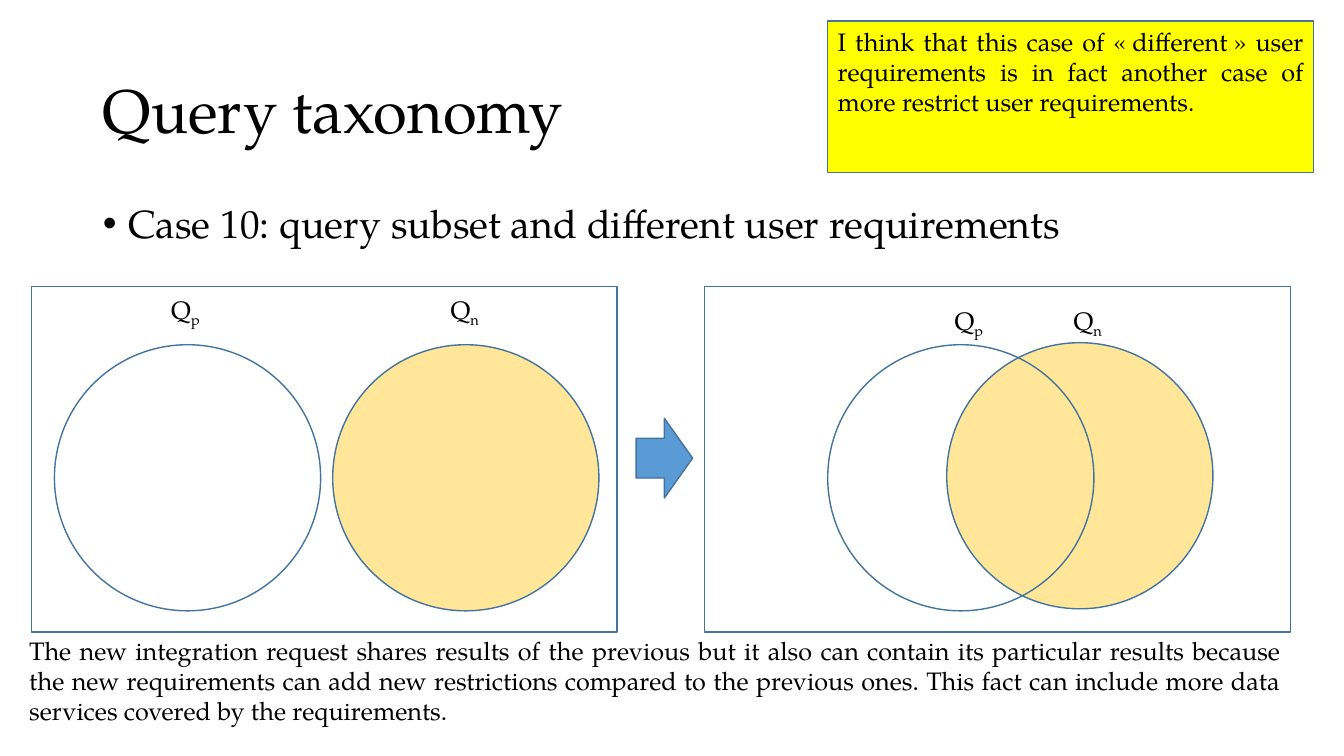
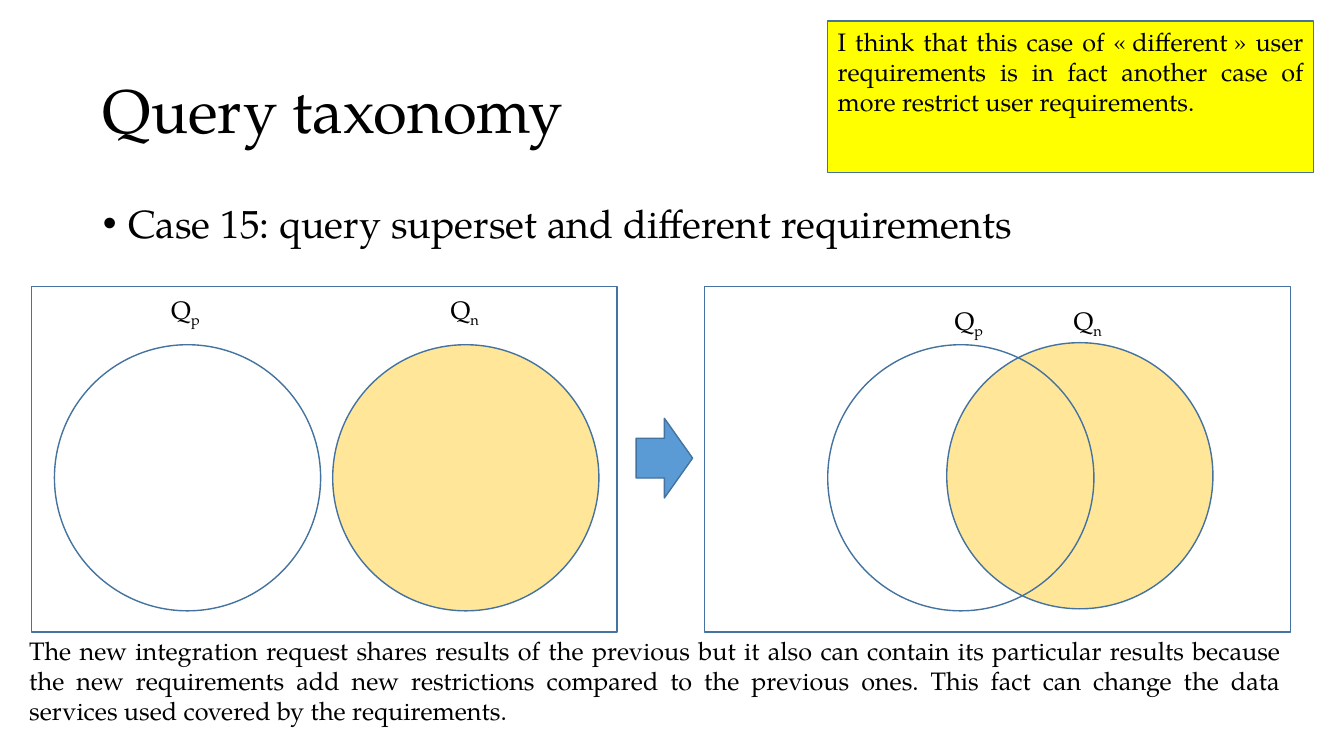
"""Build two query taxonomy slides that compare previous and new queries."""
import pptx
import pptx.dml.color
import pptx.enum.shapes
import pptx.enum.text
import pptx.util

TITLE = "Query taxonomy"
REMARK = ("I think that this case of «\u00a0different\u00a0» user requirements is in fact "
          "another case of more restrict user requirements.")
CASES = [
    ("Case 10: query subset and different user requirements",
     "The new integration request shares results of the previous but it also can contain its "
     "particular results because the new requirements can add new restrictions compared to the "
     "previous ones. This fact can include more data services covered by the requirements."),
    ("Case 15: query superset and different requirements",
     "The new integration request shares results of the previous but it also can contain its "
     "particular results because the new requirements add new restrictions compared to the "
     "previous ones. This fact can change the data services used covered by the requirements."),
]

FONT = "TeX Gyre Pagella"
BLACK, OUTLINE, ARROW, NEW_QUERY, NOTE = "000000", "43739E", "5B9BD5", "FFE699", "FFFF00"

SLIDE_W, SLIDE_H = 13.33, 7.5
MARGIN, CONTENT_W = 0.92, 11.5
PANEL_TOP, PANEL_W, PANEL_H = 2.84, 5.81, 3.43
CIRCLE = 2.64
LABEL_W, LABEL_H = 0.49, 0.4

# Each query: subscript, fill, circle offset and label offset inside its panel.
PANELS = [
    (0.31, [("n", NEW_QUERY, (2.99, 0.58), (4.06, 0.03)),
            ("p", None, (0.23, 0.58), (1.29, 0.03))]),
    (6.99, [("n", NEW_QUERY, (2.4, 0.56), (3.56, 0.14)),
            ("p", None, (1.22, 0.58), (2.38, 0.14))]),
]

ALIGN = pptx.enum.text.PP_ALIGN
ANCHOR = pptx.enum.text.MSO_ANCHOR
SHAPE = pptx.enum.shapes.MSO_SHAPE


def color(hex_string):
    return pptx.dml.color.RGBColor.from_string(hex_string)


def inches(*lengths):
    return [pptx.util.Inches(length) for length in lengths]


def write(holder, text, subscript="", size=18, align=ALIGN.LEFT, anchor=ANCHOR.TOP,
          wrap=True, spacing=None, before=0, indent=None):
    frame = holder.text_frame
    frame.auto_size = pptx.enum.text.MSO_AUTO_SIZE.NONE
    frame.word_wrap = wrap
    frame.vertical_anchor = anchor
    paragraph = frame.paragraphs[0]
    paragraph.alignment = align
    paragraph.space_before = pptx.util.Pt(before)
    if spacing:
        paragraph.line_spacing = spacing
    if indent:
        properties = paragraph._p.get_or_add_pPr()
        properties.set("marL", str(pptx.util.Inches(indent)))
        properties.set("indent", str(-pptx.util.Inches(indent)))
    for part, baseline in ((text, None), (subscript, "-25000")):
        if part:
            run = paragraph.add_run()
            run.text = part
            run.font.name = FONT
            run.font.size = pptx.util.Pt(size)
            run.font.color.rgb = color(BLACK)
            if baseline:
                run.font._element.set("baseline", baseline)


def place(holder, left, top, width, height):
    holder.left, holder.top, holder.width, holder.height = inches(left, top, width, height)
    return holder


def outlined(slide, kind, left, top, width, height, fill=None):
    shape = slide.shapes.add_shape(kind, *inches(left, top, width, height))
    shape.shadow.inherit = False
    shape.line.color.rgb = color(OUTLINE)
    shape.line.width = pptx.util.Pt(1)
    if fill:
        shape.fill.solid()
        shape.fill.fore_color.rgb = color(fill)
    else:
        shape.fill.background()
    return shape


def text_box(slide, left, top, width, height, text, **style):
    write(slide.shapes.add_textbox(*inches(left, top, width, height)), text, **style)


def draw_panel(slide, left, queries):
    for subscript, fill, (circle_x, circle_y), (label_x, label_y) in queries:
        outlined(slide, SHAPE.OVAL, left + circle_x, PANEL_TOP + circle_y, CIRCLE, CIRCLE, fill)
        text_box(slide, left + label_x, PANEL_TOP + label_y, LABEL_W, LABEL_H,
                 "Q", subscript=subscript, wrap=False)
    outlined(slide, SHAPE.RECTANGLE, left, PANEL_TOP, PANEL_W, PANEL_H)


def build_case(deck, case, explanation):
    slide = deck.slides.add_slide(deck.slide_layouts[1])
    write(place(slide.shapes.title, MARGIN, 0.4, CONTENT_W, 1.45), TITLE,
          size=44, anchor=ANCHOR.MIDDLE, spacing=0.9)
    write(place(slide.placeholders[1], MARGIN, 1.98, CONTENT_W, 4.76), case,
          size=28, spacing=0.9, before=10, indent=0.25)
    for left, queries in PANELS:
        draw_panel(slide, left, queries)
    outlined(slide, SHAPE.RIGHT_ARROW, 6.31, 4.15, 0.56, 0.79, ARROW)
    text_box(slide, 0.19, 6.25, 12.61, 1.01, explanation, align=ALIGN.JUSTIFY)
    remark = outlined(slide, SHAPE.RECTANGLE, 8.21, 0.21, 4.82, 1.5, NOTE)
    write(remark, REMARK, align=ALIGN.JUSTIFY)


deck = pptx.Presentation()
deck.slide_width, deck.slide_height = inches(SLIDE_W, SLIDE_H)
for case, explanation in CASES:
    build_case(deck, case, explanation)
deck.save("out.pptx")
